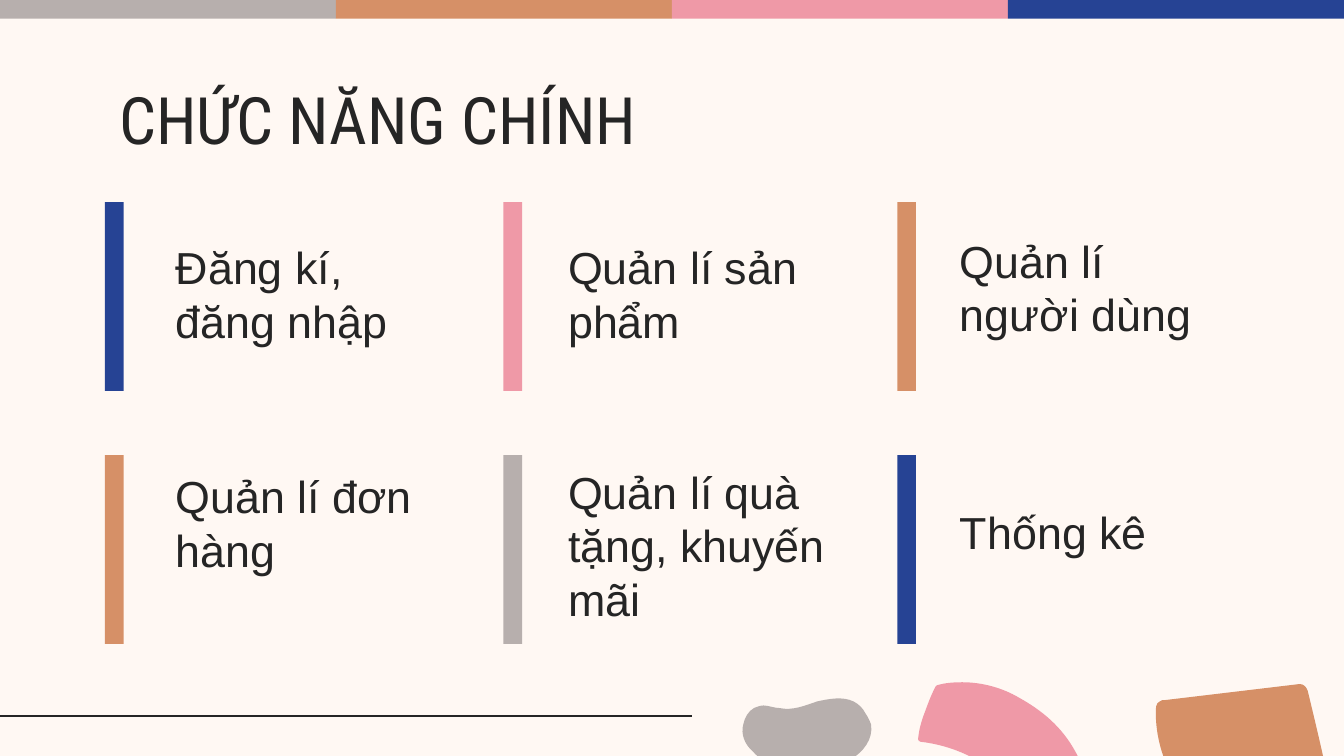
from dataclasses import dataclass

from lxml.etree import SubElement
from pptx import Presentation
from pptx.dml.color import RGBColor
from pptx.enum.shapes import MSO_CONNECTOR, MSO_SHAPE
from pptx.enum.text import MSO_ANCHOR, MSO_AUTO_SIZE, PP_ALIGN
from pptx.oxml.ns import qn
from pptx.util import Pt


@dataclass(frozen=True)
class Theme:
    paper: str = "FFF8F3"
    ink: str = "252525"
    blue: str = "264394"
    pink: str = "EF99A7"
    tan: str = "D69067"
    grey: str = "B7AFAD"
    title_font: str = "Roboto Condensed"
    body_font: str = "Arial"
    title_size: float = 35
    body_size: float = 24


THEME = Theme()
WIDTH, HEIGHT = 720, 405
STRIPE_COLOURS = (THEME.grey, THEME.tan, THEME.pink, THEME.blue)
STRIPE = 10

# Left edges of the bar and of the text in each column
COLUMNS = ((56.2, 87.1), (269.7, 297.3), (480.7, 507.2))
# Top edges of the bar and of the text in each row
ROWS = ((108.3, 104.8), (243.8, 240.9))
# Label, bar colour, text height
FEATURES = (
    (("Đăng kí, đăng nhập", THEME.blue, 88.6),
     ("Quản lí sản phẩm", THEME.pink, 88.6),
     ("Quản lí người dùng", THEME.tan, 85)),
    (("Quản lí đơn hàng", THEME.tan, 74.9),
     ("Quản lí quà tặng, khuyến mãi", THEME.grey, 101.5),
     ("Thống kê", THEME.blue, 65.5)),
)

# Outlines: a start point, then line ends (x, y) or curves (two handles, end)
BLOB = (
    (455.8, 406.8),
    (462.2, 403.2, 468, 396, 466.6, 388.1),
    (465.8, 385.9, 465.1, 384.5, 463.7, 382.3),
    (462.2, 379.4, 460.1, 377.3, 457.2, 375.8),
    (451.4, 373, 444.2, 374.4, 437.8, 375.8),
    (431.3, 378, 424.8, 380.9, 417.6, 379.4),
    (414.7, 379.4, 411.8, 378, 409, 378),
    (407.5, 378, 405.4, 378.7, 403.9, 379.4),
    (401, 380.9, 398.9, 384.5, 398.2, 388.1),
    (396.7, 393.1, 398.9, 398.9, 403.2, 402.5),
    (406.8, 406.8, 411.1, 409, 416.9, 410.4),
    (423.4, 412.6, 427, 412.6, 434.9, 412.6),
    (442.1, 412.6, 448.6, 411.1, 455, 407.5),
    (455, 406.8, 455.8, 406.8, 455.8, 406.8),
)
BLOCK = (
    (696.2, 366.5),
    (624.2, 375.1),
    (622.8, 375.1, 622.1, 375.1, 621.4, 375.8),
    (619.2, 376.6, 619.2, 379.4, 619.2, 381.6),
    (619.2, 391.7, 621.4, 401.8, 625.7, 411.1),
    (625.7, 411.1, 631.4, 422.6, 643.7, 430.6),
    (656.6, 438.5, 671.8, 442.8, 686.9, 442.8),
    (695.5, 442.8, 704.2, 441.4, 712.8, 439.2),
    (714.2, 438.5, 715, 437.8, 715, 436.3),
    (711.4, 414.7, 705.6, 391, 700.6, 370.1),
    (699.8, 367.9, 698.4, 366.5, 696.2, 366.5),
)
ARCH = (
    (515.5, 365.5),
    (511.2, 365.5, 506.2, 365.8, 501.8, 367.2),
    (501.8, 367.2, 501.8, 367.9, 501.1, 367.9),
    (498.2, 373.7, 496.8, 378, 494.6, 383.8),
    (493.2, 388.1, 492.5, 390.2, 491.8, 396),
    (491.8, 396.7, 492.5, 397.4, 493.2, 397.4),
    (506.2, 398.9, 520.6, 403.9, 530.6, 412.6),
    (538.6, 420.5, 544.3, 432, 545.8, 443.5),
    (545.8, 444.2, 545.8, 445, 546.5, 445),
    (558.7, 445, 569.5, 440, 580.3, 435.6),
    (581, 435.6, 581.8, 434.9, 581.8, 434.2),
    (582.5, 423.4, 581.8, 412.6, 576, 402.5),
    (568.8, 389.5, 558.7, 380.9, 545.8, 373.7),
    (537.1, 368.6, 526.3, 365.5, 515.5, 365.5),
)


def rgb(colour):
    return RGBColor.from_string(colour)


def paint(sp, colour):
    sp.shadow.inherit = False
    sp.fill.solid()
    sp.fill.fore_color.rgb = rgb(colour)
    sp.line.fill.background()


def add_bar(s, x, y, w, h, colour):
    sp = s.shapes.add_shape(MSO_SHAPE.RECTANGLE, Pt(x), Pt(y), Pt(w), Pt(h))
    paint(sp, colour)


def add_outline(s, outline, colour):
    """Build a freeform through the end points, then bend its curved parts."""
    ends = [(Pt(part[-2]), Pt(part[-1])) for part in outline]
    builder = s.shapes.build_freeform(*ends[0])
    builder.add_line_segments(ends[1:], close=True)
    sp = builder.convert_to_shape()
    segments = list(sp._element.iter(qn("a:lnTo")))
    for segment, part in zip(segments, outline[1:]):
        if len(part) == 2:
            continue
        segment.tag = qn("a:cubicBezTo")
        segment.clear()
        for x, y in zip(part[::2], part[1::2]):
            SubElement(segment, qn("a:pt"),
                       x=str(Pt(x) - sp.left), y=str(Pt(y) - sp.top))
    paint(sp, colour)


def add_rule(s, x1, x2, y):
    line = s.shapes.add_connector(
        MSO_CONNECTOR.STRAIGHT, Pt(x1), Pt(y), Pt(x2), Pt(y))
    line.line.color.rgb = rgb(THEME.ink)
    line.line.width = Pt(0.75)
    SubElement(line._element.spPr, qn("a:effectLst"))


def set_text(sp, text, *, font, size, colour=THEME.ink, anchor=MSO_ANCHOR.TOP):
    tf = sp.text_frame
    tf.word_wrap = True
    tf.auto_size = MSO_AUTO_SIZE.NONE
    tf.vertical_anchor = anchor
    tf.margin_left = tf.margin_right = Pt(7.2)
    tf.margin_top = tf.margin_bottom = Pt(7.2)
    p = tf.paragraphs[0]
    p.alignment = PP_ALIGN.LEFT
    r = p.add_run()
    r.text = text
    r.font.name = font
    r.font.size = Pt(size)
    r.font.color.rgb = rgb(colour)


def add_title(s, text):
    sp = s.shapes.title
    sp.left, sp.top, sp.width, sp.height = Pt(56.8), Pt(35.2), Pt(607), Pt(45.4)
    set_text(sp, text, font=THEME.title_font, size=THEME.title_size)


def add_feature(s, column, row, label, colour, height):
    (bar_x, text_x), (bar_y, text_y) = column, row
    sp = s.shapes.add_textbox(Pt(text_x), Pt(text_y), Pt(155.5), Pt(height))
    set_text(sp, label, font=THEME.body_font, size=THEME.body_size,
             anchor=MSO_ANCHOR.BOTTOM)
    add_bar(s, bar_x, bar_y, 10, 101.2, colour)


def main():
    prs = Presentation()
    prs.slide_width, prs.slide_height = Pt(WIDTH), Pt(HEIGHT)
    s = prs.slides.add_slide(prs.slide_layouts[5])
    s.background.fill.solid()
    s.background.fill.fore_color.rgb = rgb(THEME.paper)

    add_outline(s, BLOB, THEME.grey)
    add_outline(s, BLOCK, THEME.tan)
    add_outline(s, ARCH, THEME.pink)
    stripe_width = WIDTH / len(STRIPE_COLOURS)
    for i, colour in enumerate(STRIPE_COLOURS):
        add_bar(s, i * stripe_width, 0, stripe_width, STRIPE, colour)
    add_rule(s, -2, 370.8, 383.6)

    add_title(s, "CHỨC NĂNG CHÍNH")
    for row, features in zip(ROWS, FEATURES):
        for column, feature in zip(COLUMNS, features):
            add_feature(s, column, row, *feature)

    prs.save("out.pptx")


if __name__ == "__main__":
    main()
